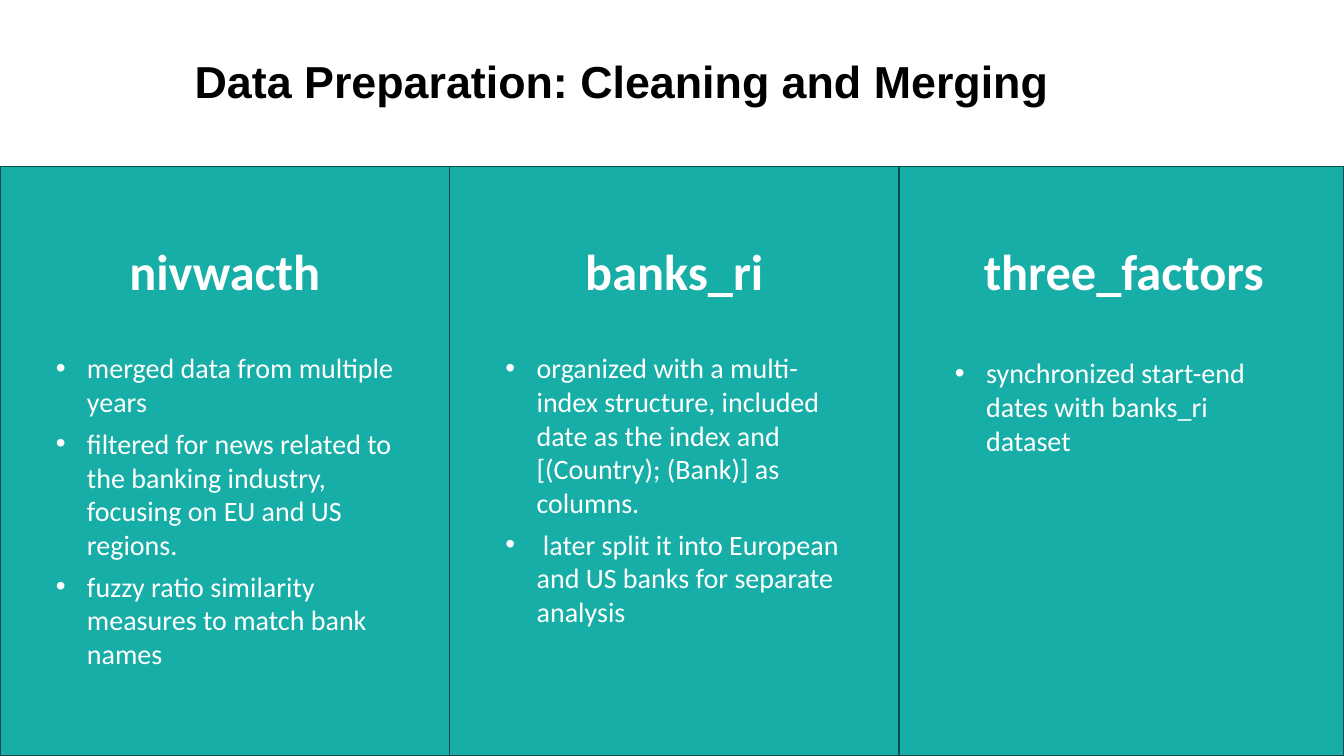
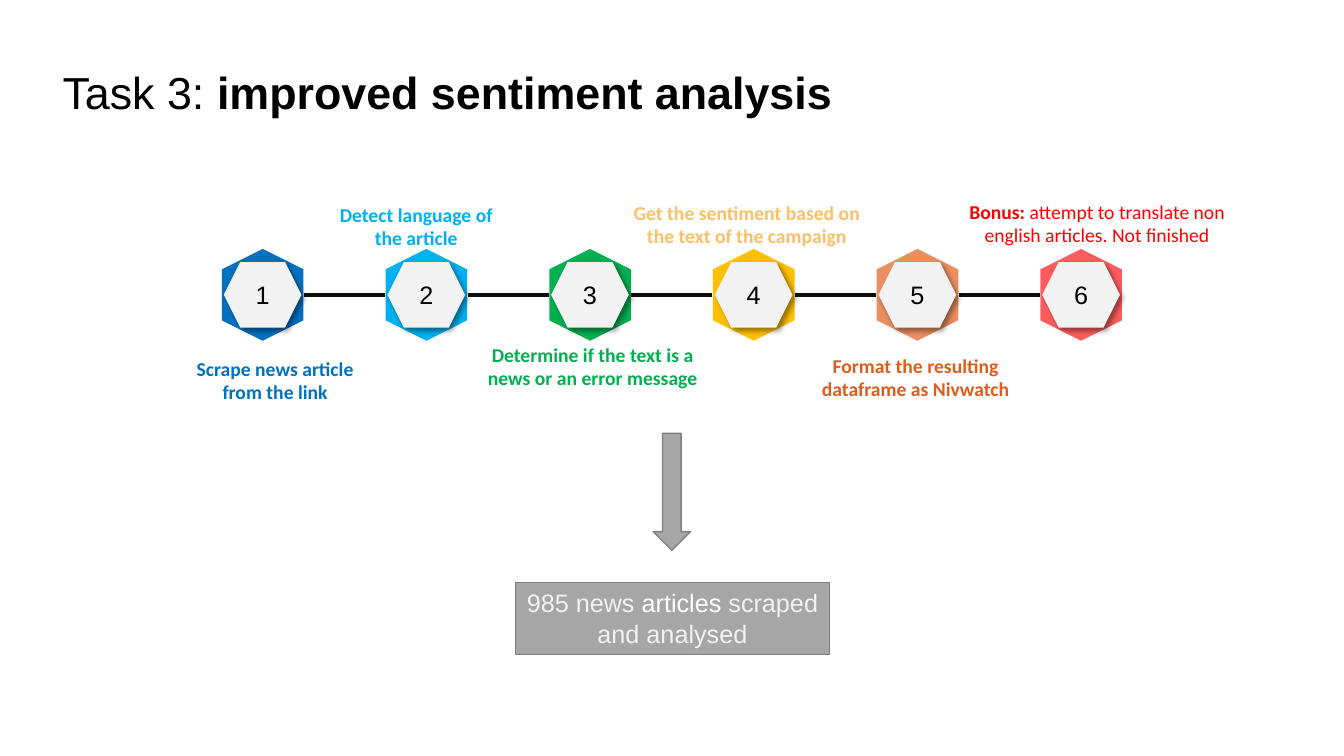
import dataclasses
import typing

import lxml.etree
import pptx
import pptx.dml.color
import pptx.enum.shapes
import pptx.enum.text
import pptx.oxml.ns
import pptx.util

SHAPE = pptx.enum.shapes.MSO_SHAPE
ALIGN = pptx.enum.text.PP_ALIGN
ANCHOR = pptx.enum.text.MSO_ANCHOR
SLIDE_WIDTH = pptx.util.Inches(13.333)
SLIDE_HEIGHT = pptx.util.Inches(7.5)


@dataclasses.dataclass(frozen=True)
class Theme:
    title_font: str = "Arial"
    body_font: str = "Calibri"
    title_size: float = 32
    heading_size: float = 36
    list_size: float = 20
    number_size: float = 18
    label_size: float = 14
    black: str = "000000"
    white: str = "FFFFFF"
    pale: str = "F2F2F2"
    teal: str = "16AEA7"
    teal_edge: str = "0A4C49"
    gray: str = "A6A6A6"
    gray_edge: str = "808080"
    link: str = "0D0D0D"


THEME = Theme()


@dataclasses.dataclass(frozen=True)
class Box:
    """A rectangle in percent of the slide's width and height."""
    left: float
    top: float
    width: float
    height: float

    def lengths(self) -> tuple[int, int, int, int]:
        return (across(self.left), down(self.top), across(self.width), down(self.height))


class Span(typing.NamedTuple):
    text: str
    bold: bool = False
    color: str | None = None


class Panel(typing.NamedTuple):
    heading: str
    items: list[str]
    list_top: float = 45.73


class Step(typing.NamedTuple):
    color: str
    label_color: str
    label: list[Span]
    label_left: float
    label_top: float
    label_width: float


PANEL_TOP = 22
PANEL_PITCH = 33.45
PANELS = [
    Panel("nivwacth", [
        "merged data from multiple years",
        "filtered for news related to the banking industry, focusing on EU and US regions.",
        "fuzzy ratio similarity measures to match bank names",
    ]),
    Panel("banks_ri", [
        "organized with a multi-index structure, included date as the index and "
        "[(Country); (Bank)] as columns.",
        " later split it into European and US banks for separate analysis",
    ]),
    Panel("three_factors", ["synchronized start-end dates with banks_ri dataset"], 46.4),
]

FIRST_STEP = 19.54
STEP_PITCH = 12.18
STEP_MIDDLE = 39
LINK_GAP = 3.08
STEPS = [
    Step("0070C0", "0070C0", [Span("Scrape news article from the link", True)],
         13.95, 47.2, 13.05),
    Step("00B0F0", "00B0F0", [Span("Detect language of the article", True)],
         24.45, 26.8, 13.05),
    Step("00B050", "00B050", [Span("Determine if the text is a news or an error message", True)],
         35.25, 45.33, 17.7),
    Step("FFC000", "FBBF66", [Span("Get the sentiment based on the text of the campaign", True)],
         46.8, 26.53, 17.55),
    Step("EB8F60", "DD5D1C", [Span("Format the resulting dataframe as Nivwatch", True)],
         59.92, 46.8, 16.43),
    Step("FF5D5D", "FF0000",
         [Span("Bonus: ", True), Span("attempt to translate non english articles. Not finished")],
         71.17, 26.4, 20.93),
]


def across(share: float) -> int:
    return round(SLIDE_WIDTH * share / 100)


def down(share: float) -> int:
    return round(SLIDE_HEIGHT * share / 100)


def rgb(color: str) -> pptx.dml.color.RGBColor:
    return pptx.dml.color.RGBColor.from_string(color)


def add_child(parent, tag: str, **attributes: str):
    return lxml.etree.SubElement(parent, pptx.oxml.ns.qn(tag), attributes)


def write_text(frame, paragraphs: list[list[Span]], *, size: float, color: str,
               font: str = THEME.body_font, align=ALIGN.LEFT, anchor=ANCHOR.TOP,
               line_spacing: float = 1.0, space_after: float = 0,
               bullet: bool = False, inset: bool = True) -> None:
    frame.word_wrap = True
    frame.auto_size = pptx.enum.text.MSO_AUTO_SIZE.NONE
    frame.vertical_anchor = anchor
    if not inset:
        frame.margin_left = frame.margin_right = frame.margin_top = frame.margin_bottom = 0
    for index, spans in enumerate(paragraphs):
        para = frame.add_paragraph() if index else frame.paragraphs[0]
        para.alignment = align
        para.line_spacing = line_spacing
        para.space_before = pptx.util.Pt(0)
        para.space_after = pptx.util.Pt(space_after)
        if bullet:
            properties = para._p.get_or_add_pPr()
            indent = pptx.util.Inches(0.31)
            properties.set("marL", str(indent))
            properties.set("indent", str(-indent))
            add_child(properties, "a:buFont", typeface="Arial")
            add_child(properties, "a:buChar", char="•")
        for span in spans:
            run = para.add_run()
            run.text = span.text
            run.font.name = font
            run.font.size = pptx.util.Pt(size)
            run.font.bold = span.bold
            run.font.color.rgb = rgb(span.color or color)


def place(shape, box: Box) -> None:
    shape.left, shape.top, shape.width, shape.height = box.lengths()


def set_title(slide, box: Box, spans: list[Span]) -> None:
    title = slide.shapes.title
    place(title, box)
    write_text(title.text_frame, [spans], size=THEME.title_size, color=THEME.black,
               font=THEME.title_font, anchor=ANCHOR.BOTTOM, line_spacing=0.9)


def add_text(slide, box: Box, spans: list[Span], **text_format) -> None:
    text_box = slide.shapes.add_textbox(*box.lengths())
    write_text(text_box.text_frame, [spans], **text_format)


def add_filled(slide, kind, box: Box, fill: str, edge: str | None = None,
               edge_width: float = 1):
    shape = slide.shapes.add_shape(kind, *box.lengths())
    shape.fill.solid()
    shape.fill.fore_color.rgb = rgb(fill)
    if edge:
        shape.line.color.rgb = rgb(edge)
        shape.line.width = pptx.util.Pt(edge_width)
    else:
        shape.line.fill.background()
    shape.shadow.inherit = False
    return shape


def add_soft_shadow(shape) -> None:
    effects = shape._element.spPr.find(pptx.oxml.ns.qn("a:effectLst"))
    shadow = add_child(effects, "a:outerShdw", blurRad=str(pptx.util.Pt(4)),
                       dist=str(pptx.util.Pt(3)), dir="2700000", algn="tl", rotWithShape="0")
    color = add_child(shadow, "a:srgbClr", val=THEME.black)
    add_child(color, "a:alpha", val="40000")


def add_link(slide, start: float, end: float) -> None:
    link = slide.shapes.add_connector(
        pptx.enum.shapes.MSO_CONNECTOR.STRAIGHT,
        across(start), down(STEP_MIDDLE), across(end), down(STEP_MIDDLE))
    link.line.color.rgb = rgb(THEME.link)
    link.line.width = pptx.util.Pt(3)
    add_child(link._element.spPr, "a:effectLst")


def add_hexagon(slide, center: float, width: float, height: float, fill: str):
    box = Box(center - width / 2, STEP_MIDDLE - height / 2, width, height)
    return add_filled(slide, SHAPE.HEXAGON, box, fill)


def add_step(slide, number: int, step: Step) -> None:
    center = FIRST_STEP + STEP_PITCH * (number - 1)
    add_hexagon(slide, center, 6.83, 10.8, step.color).rotation = 90
    badge = add_hexagon(slide, center, 5.78, 8.67, THEME.pale)
    add_soft_shadow(badge)
    write_text(badge.text_frame, [[Span(str(number))]], size=THEME.number_size,
               color=THEME.black, font=THEME.title_font, align=ALIGN.CENTER,
               anchor=ANCHOR.MIDDLE, inset=False)
    if number < len(STEPS):
        add_link(slide, center + LINK_GAP, center + STEP_PITCH - LINK_GAP)
    add_text(slide, Box(step.label_left, step.label_top, step.label_width, 7.07), step.label,
             size=THEME.label_size, color=step.label_color, align=ALIGN.CENTER, inset=False)


def add_panel(slide, index: int, panel: Panel, body) -> None:
    left = PANEL_PITCH * index
    width = min(PANEL_PITCH, 100 - left)
    area = add_filled(slide, SHAPE.RECTANGLE, Box(left, PANEL_TOP, width, 100 - PANEL_TOP),
                      THEME.teal, THEME.teal_edge)
    # The list placeholder already exists, so the panel goes behind it.
    slide.shapes._spTree.insert(2 + index, area._element)
    add_text(slide, Box(left + 4.8, 31.07, 23.85, 9.47), [Span(panel.heading, True)],
             size=THEME.heading_size, color=THEME.white, align=ALIGN.CENTER)
    place(body, Box(left + 3.4, panel.list_top, 26.7, 49.2))
    write_text(body.text_frame, [[Span(item)] for item in panel.items],
               size=THEME.list_size, color=THEME.white, space_after=6, bullet=True)


def build_preparation(deck) -> None:
    slide = deck.slides.add_slide(deck.slide_layouts.get_by_name("Comparison"))
    set_title(slide, Box(13.73, 1.07, 72.9, 13.87),
              [Span("Data Preparation: Cleaning and Merging", True)])
    bodies = list(slide.placeholders)[1:]
    for index, (panel, body) in enumerate(zip(PANELS, bodies)):
        add_panel(slide, index, panel, body)
    for unused in bodies[len(PANELS):]:
        slide.shapes._spTree.remove(unused._element)


def build_sentiment(deck) -> None:
    slide = deck.slides.add_slide(deck.slide_layouts.get_by_name("Title Only"))
    set_title(slide, Box(3.9, 2.53, 72.9, 13.87),
              [Span("Task 3: "), Span("improved sentiment analysis", True)])
    for number, step in enumerate(STEPS, start=1):
        add_step(slide, number, step)
    add_filled(slide, SHAPE.DOWN_ARROW, Box(48.6, 57.33, 2.78, 15.47),
               THEME.gray, THEME.gray_edge)
    result = add_filled(slide, SHAPE.RECTANGLE, Box(38.33, 77.07, 23.4, 9.47),
                        THEME.gray, THEME.gray_edge, 0.75)
    write_text(result.text_frame,
               [[Span("985 news "), Span("articles", color=THEME.white),
                 Span(" scraped and analysed")]],
               size=THEME.number_size, color=THEME.pale, font=THEME.title_font,
               align=ALIGN.CENTER)


def main() -> None:
    deck = pptx.Presentation()
    deck.slide_width = SLIDE_WIDTH
    deck.slide_height = SLIDE_HEIGHT
    build_preparation(deck)
    build_sentiment(deck)
    deck.save("out.pptx")


if __name__ == "__main__":
    main()
